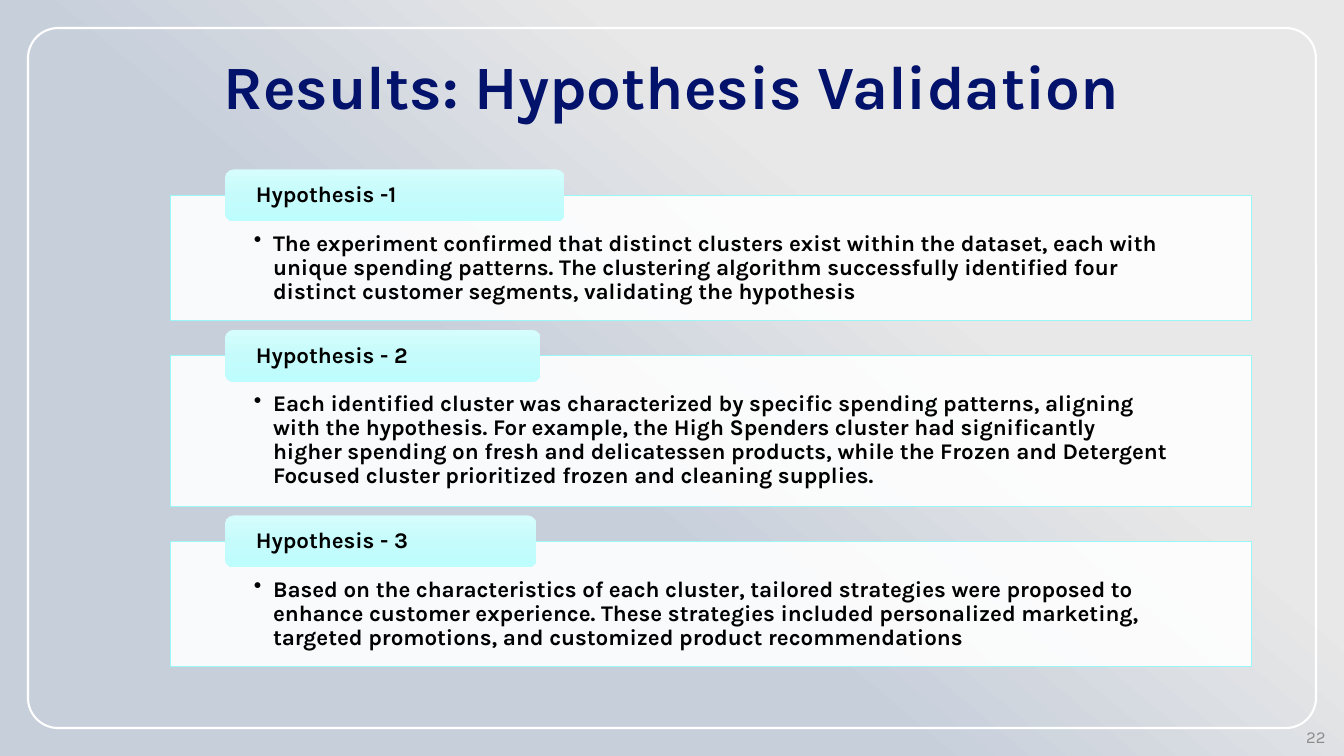
from lxml import etree
from pptx import Presentation
from pptx import util as u
from pptx.dml.color import RGBColor
from pptx.enum import shapes, text
from pptx.oxml.ns import qn

COLUMNS, ROWS = 48, 27
HYPOTHESES = [
    ("Hypothesis -1", 12.13, 4.46,
     "The experiment confirmed that distinct clusters exist within the dataset, each with "
     "unique spending patterns. The clustering algorithm successfully identified four "
     "distinct customer segments, validating the hypothesis"),
    ("Hypothesis - 2", 11.27, 5.36,
     "Each identified cluster was characterized by specific spending patterns, aligning "
     "with the hypothesis. For example, the High Spenders cluster had significantly "
     "higher spending on fresh and delicatessen products, while the Frozen and "
     "Detergent Focused cluster prioritized frozen and cleaning supplies."),
    ("Hypothesis - 3", 11.12, 4.46,
     "Based on the characteristics of each cluster, tailored strategies were proposed to "
     "enhance customer experience. These strategies included personalized marketing, "
     "targeted promotions, and customized product recommendations"),
]


def color(value):
    """Turn a hex string into a colour."""
    return RGBColor.from_string(value)


class HypothesisSlide:
    """Draw elements on one slide, placed by columns and rows."""

    font = "Karla"
    ink, navy, grey, white, aqua = "000000", "03126A", "8C8C8C", "FFFFFF", "99F7F7"
    tab_stops = [(0, "D6FDFD"), (50, "C6FBFB"), (100, "BDFDFD")]

    def __init__(self, deck):
        """Add a title-only slide to the deck."""
        self.cell_width = deck.slide_width / COLUMNS
        self.cell_height = deck.slide_height / ROWS
        self.page = deck.slides.add_slide(deck.slide_layouts[5])

    def area(self, column, row, columns, rows):
        """Convert grid cells to left, top, width and height."""
        return (u.Emu(round(column * self.cell_width)), u.Emu(round(row * self.cell_height)),
                u.Emu(round(columns * self.cell_width)), u.Emu(round(rows * self.cell_height)))

    def gradient(self, fill, element, stops, angle):
        """Fill with colour stops along a clockwise angle."""
        fill.gradient()
        fill.gradient_angle = 360 - angle
        stop_list = element.find(".//" + qn("a:gsLst"))
        stop_list.clear()
        for position, value in stops:
            stop = etree.SubElement(stop_list, qn("a:gs"), pos=str(position * 1000))
            etree.SubElement(stop, qn("a:srgbClr"), val=value)

    def background(self):
        """Shade the slide from light grey to blue grey."""
        self.gradient(self.page.background.fill, self.page.element,
                      [(33, "E8E8E8"), (59, "C7CFDB")], 130)

    def set_text(self, shape, words, size, ink, bold=True, align=text.PP_ALIGN.LEFT,
                 anchor=text.MSO_ANCHOR.MIDDLE, insets=(0.1, 0.05, 0.1, 0.05), spacing=0.9):
        """Set and format the single paragraph of a shape."""
        frame = shape.text_frame
        frame.text = words
        frame.word_wrap = True
        frame.auto_size = text.MSO_AUTO_SIZE.NONE
        frame.vertical_anchor = anchor
        frame.margin_left, frame.margin_top, frame.margin_right, frame.margin_bottom = (
            u.Inches(inset) for inset in insets)
        para = frame.paragraphs[0]
        para.alignment = align
        para.line_spacing = spacing
        span = para.runs[0]
        span.font.name, span.font.size, span.font.bold = self.font, u.Pt(size), bold
        span.font.color.rgb = color(ink)
        return para

    def title(self, words, *cells):
        """Place and format the title."""
        box = self.page.shapes.title
        box.left, box.top, box.width, box.height = self.area(*cells)
        self.set_text(box, words, 44, self.navy, align=text.PP_ALIGN.CENTER)

    def shape(self, kind, *cells):
        """Add a preset shape without shadow or line."""
        shape = self.page.shapes.add_shape(kind, *self.area(*cells))
        shape.shadow.inherit = False
        shape.line.fill.background()
        return shape

    def outline(self, shape, value, width):
        """Draw a solid outline round a shape."""
        shape.line.color.rgb = color(value)
        shape.line.width = u.Pt(width)

    def frame(self, *cells):
        """Add the rounded frame of the slide."""
        frame = self.shape(shapes.MSO_SHAPE.ROUNDED_RECTANGLE, *cells)
        frame.adjustments[0] = 0.043
        frame.fill.background()
        self.outline(frame, self.white, 1.5)

    def card(self, words, *cells):
        """Add a translucent white card with one bullet."""
        card = self.shape(shapes.MSO_SHAPE.RECTANGLE, *cells)
        card.fill.solid()
        card.fill.fore_color.rgb = color(self.white)
        solid = card.element.spPr.find(qn("a:solidFill"))
        etree.SubElement(solid[0], qn("a:alpha"), val="90000")
        self.outline(card, self.aqua, 0.5)
        para = self.set_text(card, words, 16, self.ink, anchor=text.MSO_ANCHOR.TOP,
                             insets=(0.83, 0.36, 0.83, 0.12))
        properties = para._p.get_or_add_pPr()
        indent = u.Inches(0.19)
        properties.set("marL", str(int(indent)))
        properties.set("indent", str(-int(indent)))
        etree.SubElement(properties, qn("a:buChar"), char="•")

    def tab(self, words, *cells):
        """Add a shaded heading tab."""
        tab = self.shape(shapes.MSO_SHAPE.ROUNDED_RECTANGLE, *cells)
        self.gradient(tab.fill, tab.element, self.tab_stops, 90)
        self.set_text(tab, words, 16, self.ink, insets=(0.28, 0, 0.28, 0))

    def number(self, words, *cells):
        """Add the page number."""
        box = self.page.shapes.add_textbox(*self.area(*cells))
        self.set_text(box, words, 12, self.grey, bold=False, align=text.PP_ALIGN.RIGHT,
                      spacing=1.0)


def main():
    """Build and save the slide."""
    deck = Presentation()
    deck.slide_width, deck.slide_height = u.Inches(13.33), u.Inches(7.5)
    slide = HypothesisSlide(deck)
    slide.background()
    slide.frame(1, 1, COLUMNS - 2, ROWS - 2)
    slide.number("22", 36.9, 25.85, 10.8, 0.9)
    slide.title("Results: Hypothesis Validation", 3.92, 1.8, 40.15, 2.8)
    row, gap = 6.98, 1.27
    for heading, tab_columns, rows, finding in HYPOTHESES:
        slide.card(finding, 6.08, row, 38.6, rows)
        slide.tab(heading, 8.04, row - 0.93, tab_columns, 1.86)
        row += rows + gap
    deck.save("out.pptx")


if __name__ == "__main__":
    main()
